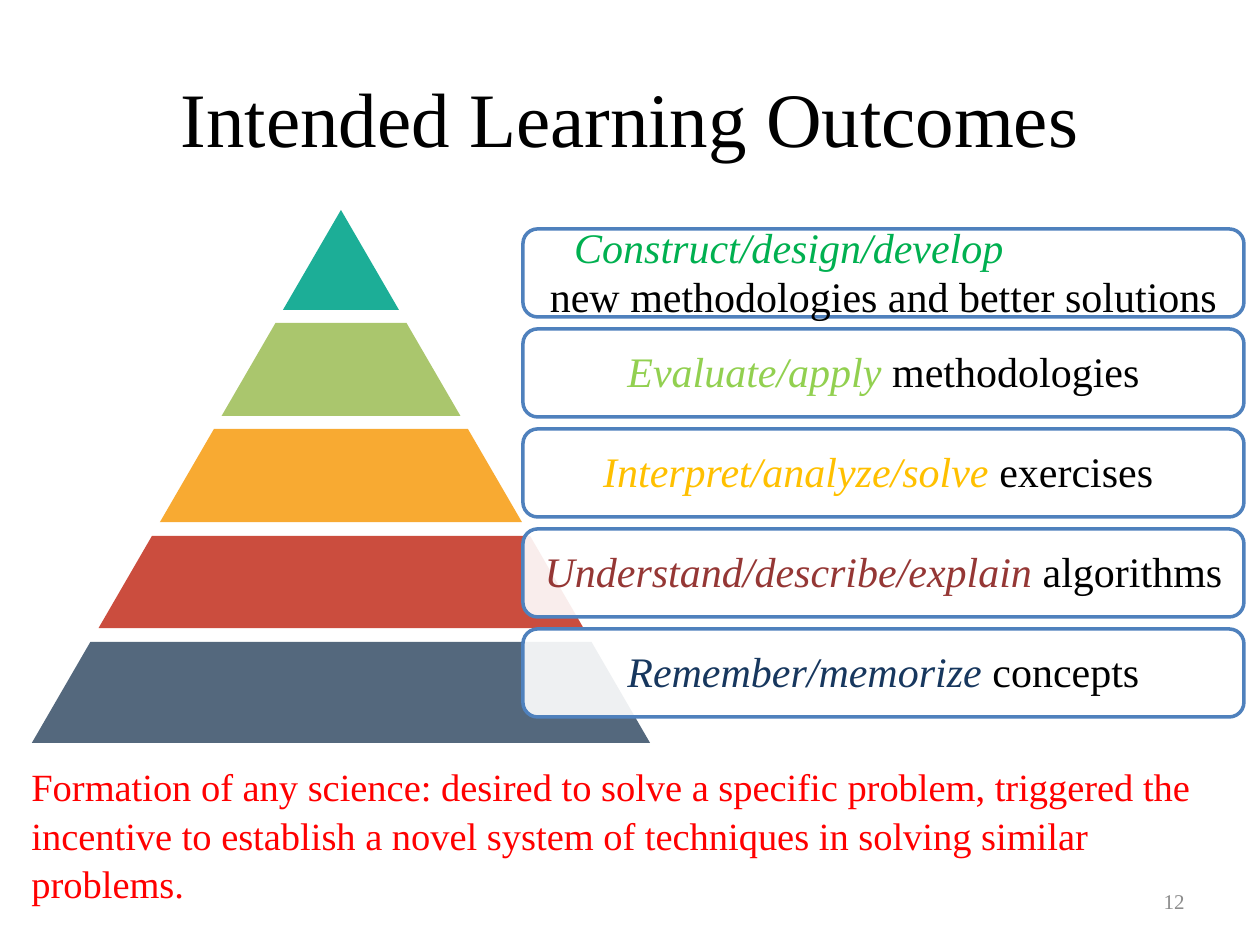
from pptx import Presentation
from pptx.dml.color import RGBColor
from pptx.enum.shapes import MSO_SHAPE
from pptx.enum.text import MSO_ANCHOR, PP_ALIGN
from pptx.oxml.ns import qn
from pptx.util import Pt
from lxml import etree

ROUND = MSO_SHAPE.ROUNDED_RECTANGLE
MIDDLE, TOP = MSO_ANCHOR.MIDDLE, MSO_ANCHOR.TOP
LEFT, CENTER, RIGHT = PP_ALIGN.LEFT, PP_ALIGN.CENTER, PP_ALIGN.RIGHT

FACE = "Times New Roman"
SCALE = 914400 / 126
COLORS = {
    "black": "000000", "white": "FFFFFF", "red": "FF0000",
    "gray": "8C8C8C", "blue": "4F81BD",
}
APEX = (341, 210)
SLOPE = 0.58
BANDS = [
    (210, 310, "1CAE97"), (323, 416, "AAC66D"), (429, 522, "F8AA32"),
    (536, 628, "CB4D3E"), (642, 743, "54687D"),
]
GOALS = [
    ("Construct/design/develop", "new methodologies and better solutions", "00B050"),
    ("Evaluate/apply ", "methodologies", "92D050"),
    ("Interpret/analyze/solve ", "exercises ", "FFC000"),
    ("Understand/describe/explain ", "algorithms", "953735"),
    ("Remember/memorize ", "concepts", "17375E"),
]
CLOSING = (
    "Formation of any science: desired to solve a specific problem, "
    "triggered the incentive to establish a novel system of techniques "
    "in solving similar problems."
)


def px(size):
    return round(size * SCALE)


def paint(target, color):
    target.solid()
    target.fore_color.rgb = RGBColor.from_string(color)


def style(para, size, align, space=None):
    para.alignment = align
    para.line_spacing = space
    para.font.size = Pt(size)
    para.font.name = FACE


def add_run(para, text, color, slant=False):
    run = para.add_run()
    run.text = text
    run.font.italic = slant
    paint(run.font.fill, color)


def add_title(slide, text):
    title = slide.shapes.title
    title.left, title.top, title.width, title.height = map(px, (63, 38, 1134, 157))
    title.text_frame.vertical_anchor = MIDDLE
    para = title.text_frame.paragraphs[0]
    style(para, 44, CENTER)
    add_run(para, text, COLORS["black"])


def add_text(slide, place, text, size, color, align, anchor, space=None):
    frame = slide.shapes.add_textbox(*map(px, place)).text_frame
    frame.word_wrap = True
    frame.vertical_anchor = anchor
    para = frame.paragraphs[0]
    style(para, size, align, space)
    add_run(para, text, color)


def add_band(slide, top, base, color):
    mid, peak = APEX
    upper, lower = (top - peak) * SLOPE, (base - peak) * SLOPE
    points = [(mid + upper, top), (mid + lower, base), (mid - lower, base)]
    pen = slide.shapes.build_freeform(px(mid - upper), px(top), scale=1.0)
    pen.add_line_segments([(px(x), px(y)) for x, y in points], close=True)
    band = pen.convert_to_shape()
    band.shadow.inherit = False
    paint(band.fill, color)
    band.line.fill.background()


def add_goal(slide, index, verbs, rest, color):
    box = slide.shapes.add_shape(ROUND, px(523), px(229 + 100 * index), px(721), px(88))
    box.shadow.inherit = False
    paint(box.fill, COLORS["white"])
    tint = box.fill._xPr.find(qn("a:solidFill"))[0]
    etree.SubElement(tint, qn("a:alpha")).set("val", "90000")
    paint(box.line.fill, COLORS["blue"])
    box.line.width = Pt(2)
    frame = box.text_frame
    frame.word_wrap = True
    frame.vertical_anchor = MIDDLE
    frame.margin_left = frame.margin_right = px(8)
    frame.margin_top = frame.margin_bottom = 0
    first = last = frame.paragraphs[0]
    if not verbs.endswith(" "):
        first._p.get_or_add_pPr().set("marL", str(px(39)))
        last = frame.add_paragraph()
        style(last, 24, CENTER, 0.97)
    style(first, 24, CENTER if first is last else LEFT, 0.97)
    add_run(first, verbs, color, True)
    add_run(last, rest, COLORS["black"])


def main():
    deck = Presentation()
    deck.slide_width, deck.slide_height = px(1260), px(945)
    slide = deck.slides.add_slide(deck.slide_layouts[5])
    add_title(slide, "Intended Learning Outcomes")
    add_text(slide, (19, 755, 1226, 160), CLOSING, 22, COLORS["red"], LEFT, TOP, 1.05)
    add_text(slide, (903, 876, 294, 50), "12", 12, COLORS["gray"], RIGHT, MIDDLE)
    for band in BANDS:
        add_band(slide, *band)
    for index, goal in enumerate(GOALS):
        add_goal(slide, index, *goal)
    deck.save("out.pptx")


if __name__ == "__main__":
    main()
